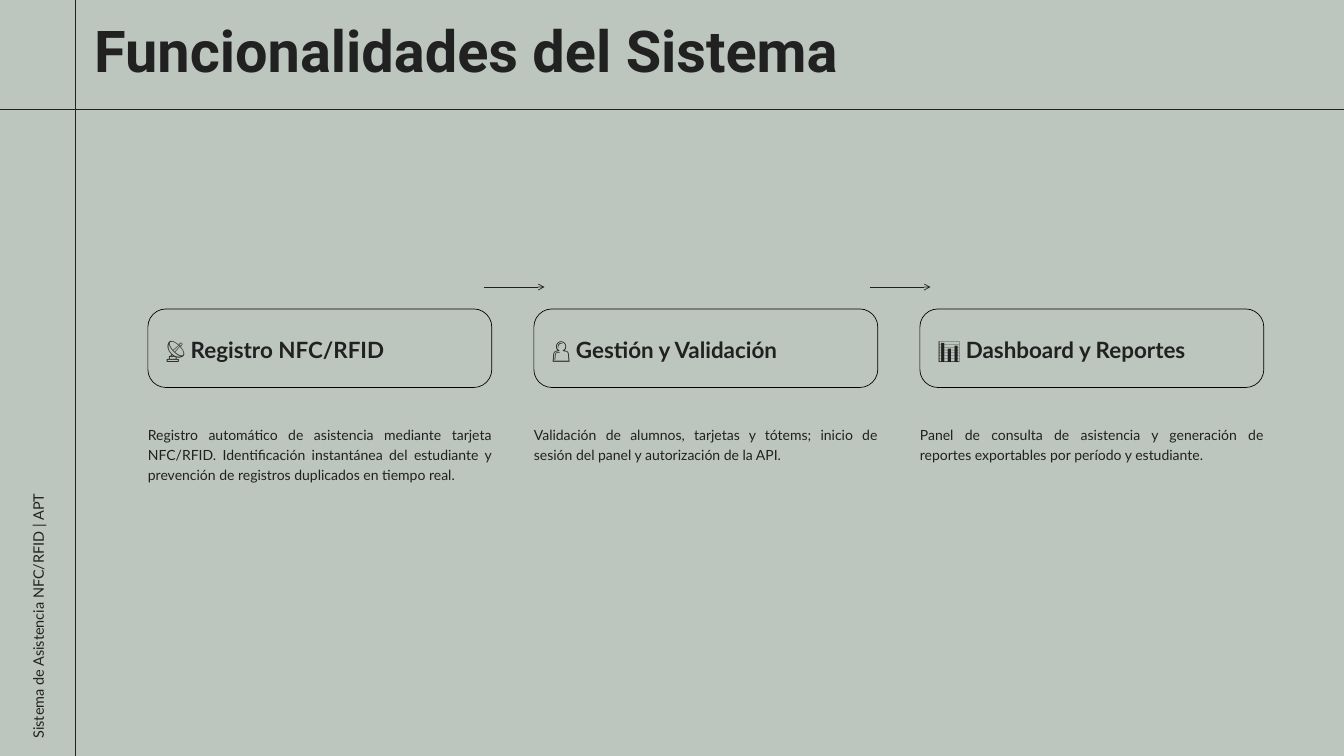
from pptx import Presentation
from pptx.dml.color import RGBColor
from pptx.enum.shapes import MSO_CONNECTOR, MSO_SHAPE
from pptx.enum.text import MSO_AUTO_SIZE, PP_ALIGN
from pptx.oxml.ns import qn
from pptx.util import Cm, Pt
from lxml import etree

STRAIGHT = MSO_CONNECTOR.STRAIGHT
ROUNDED = MSO_SHAPE.ROUNDED_RECTANGLE
JUSTIFY = PP_ALIGN.JUSTIFY
GROW = MSO_AUTO_SIZE.SHAPE_TO_FIT_TEXT

SAGE = RGBColor(0xBC, 0xC5, 0xBE)
INK = RGBColor(0x21, 0x21, 0x21)
BLACK = RGBColor(0x00, 0x00, 0x00)

WIDTH, HEIGHT = 50.8, 28.58
RULE_X, RULE_Y = 2.84, 4.14
CARD_WIDTH, CARD_PITCH = 13, 14.59

FEATURES = [
    ("📡 Registro NFC/RFID",
     "Registro automático de asistencia mediante tarjeta NFC/RFID. Identificación "
     "instantánea del estudiante y prevención de registros duplicados en tiempo real."),
    ("👤 Gestión y Validación",
     "Validación de alumnos, tarjetas y tótems; inicio de sesión del panel y "
     "autorización de la API."),
    ("📊 Dashboard y Reportes",
     "Panel de consulta de asistencia y generación de reportes exportables por "
     "período y estudiante."),
]


def add_text(s, box, text, size, spacing, font="Lato", bold=False):
    """Add a justified text box without margins and return it."""
    sp = s.shapes.add_textbox(*map(Cm, box))
    tf = sp.text_frame
    tf.margin_left = tf.margin_top = tf.margin_right = tf.margin_bottom = 0
    tf.word_wrap = True
    tf.auto_size = GROW
    p = tf.paragraphs[0]
    p.text = text
    p.alignment = JUSTIFY
    p.line_spacing = Pt(spacing)
    r = p.runs[0]
    r.font.name = font
    r.font.size = Pt(size)
    r.font.bold = bold
    r.font.color.rgb = INK
    return sp


def add_line(s, x1, y1, x2, y2, arrow=False):
    """Add a thin line, with an open arrowhead at its end if asked."""
    line = s.shapes.add_connector(STRAIGHT, Cm(x1), Cm(y1), Cm(x2), Cm(y2))
    line.line.color.rgb = INK
    line.line.width = Pt(0.75)
    if arrow:
        etree.SubElement(line.line._get_or_add_ln(), qn("a:tailEnd"), type="arrow")
    etree.SubElement(line._element.spPr, qn("a:effectLst"))


def add_frame(s, width, height):
    """Draw the two crossing rules, the title and the vertical side label."""
    add_line(s, 0, RULE_Y, width, RULE_Y)
    add_line(s, RULE_X, height, RULE_X, 0)
    add_text(s, (3.56, 0.86, 31.65, 2.39), "Funcionalidades del Sistema",
             61.8, 65.5, "Roboto", True)
    label = add_text(s, (-4.93, 21.29, 12.57, 0.69),
                     "Sistema de Asistencia NFC/RFID | APT", 15.5, 21.6)
    label.rotation = 270


def add_feature(s, left, top, width, heading, description):
    """Draw an outlined heading card with its description below."""
    sp = s.shapes.add_shape(ROUNDED, Cm(left), Cm(top), Cm(width), Cm(2.97))
    sp.adjustments[0] = 0.23
    sp.shadow.inherit = False
    sp.fill.background()
    sp.line.color.rgb = BLACK
    sp.line.width = Pt(0.75)
    add_text(s, (left + 0.68, top + 0.87, 9.58, 1.12), heading, 24, 33.6, bold=True)
    add_text(s, (left, top + 4.35, width, 2.08), description, 15, 21)


def add_flow(s, left, top):
    """Lay out the feature cards in a row, joined by arrows above the gaps."""
    for i, (heading, description) in enumerate(FEATURES):
        x = left + i * CARD_PITCH
        add_feature(s, x, top, CARD_WIDTH, heading, description)
        if i:
            start = x - 1.9
            add_line(s, start, top - 0.83, start + 2.3, top - 0.83, arrow=True)


def main():
    """Build the slide and save it."""
    prs = Presentation()
    prs.slide_width, prs.slide_height = Cm(WIDTH), Cm(HEIGHT)
    s = prs.slides.add_slide(prs.slide_layouts[6])
    s.background.fill.solid()
    s.background.fill.fore_color.rgb = SAGE
    add_frame(s, WIDTH, HEIGHT)
    add_flow(s, 5.59, 11.68)
    prs.save("out.pptx")


if __name__ == "__main__":
    main()
